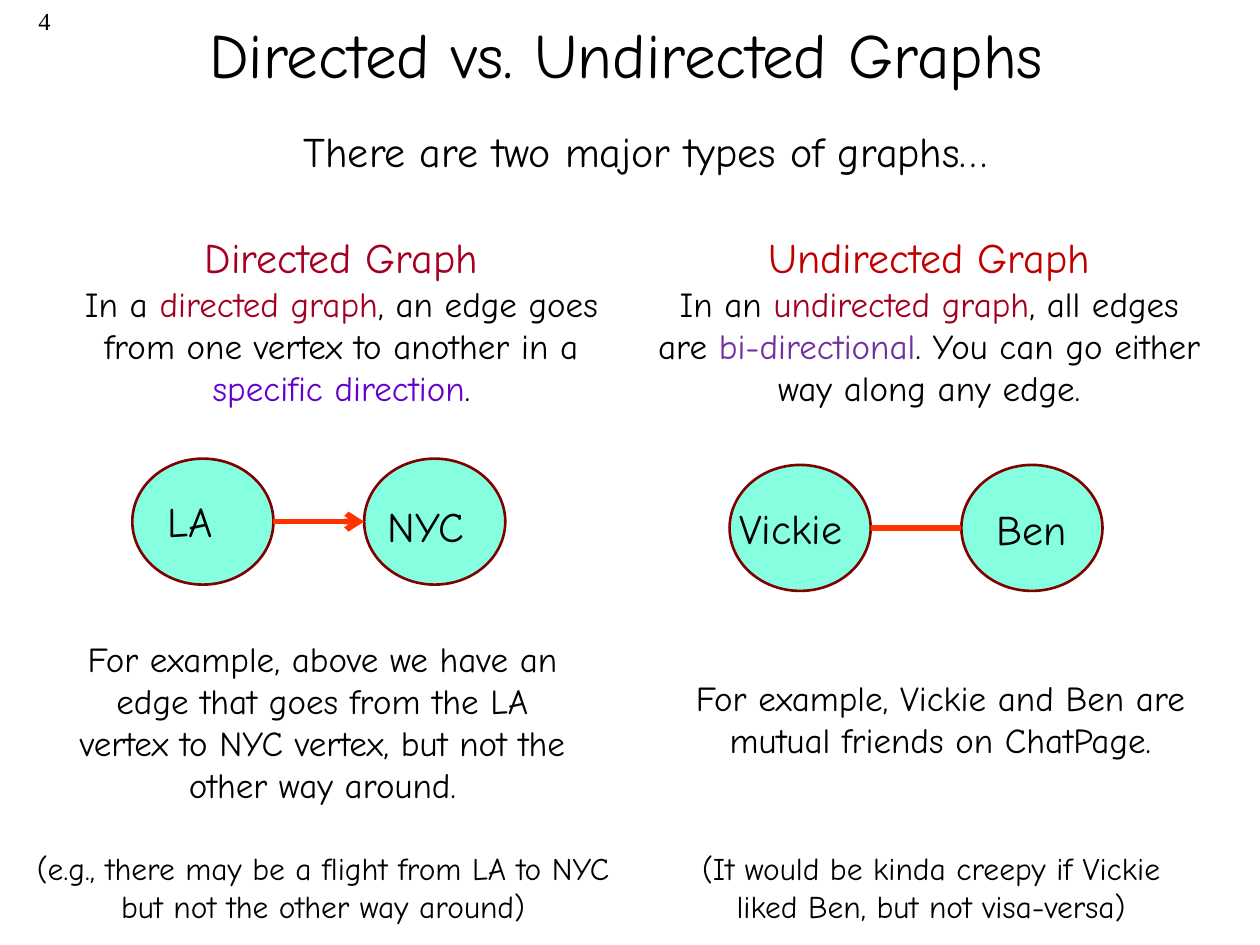
from pptx import Presentation
from pptx.dml.color import RGBColor
from pptx.enum.shapes import MSO_CONNECTOR, MSO_SHAPE
from pptx.enum.text import MSO_ANCHOR, PP_ALIGN
from pptx.oxml.ns import qn
from pptx.util import Inches, Pt
from lxml import etree

LEFT, CENTER, RIGHT = PP_ALIGN.LEFT, PP_ALIGN.CENTER, PP_ALIGN.RIGHT
TOP, MIDDLE = MSO_ANCHOR.TOP, MSO_ANCHOR.MIDDLE
OVAL = MSO_SHAPE.OVAL
STRAIGHT = MSO_CONNECTOR.STRAIGHT

BLACK = RGBColor(0x00, 0x00, 0x00)
CRIMSON = RGBColor(0xA5, 0x00, 0x21)
RED = RGBColor(0xC0, 0x00, 0x00)
VIOLET = RGBColor(0x66, 0x00, 0xCC)
PURPLE = RGBColor(0x70, 0x30, 0xA0)
AQUA = RGBColor(0x85, 0xFF, 0xE0)
MAROON = RGBColor(0x80, 0x00, 0x00)
ORANGE = RGBColor(0xFF, 0x33, 0x00)

VERTEX_W, VERTEX_H, VERTEX_STEP = 1.12, 1, 1.84

DIRECTED = {
    "heading": ("Directed Graph", CRIMSON),
    "intro": [("In a ", BLACK), ("directed graph", CRIMSON),
              (", an edge goes from one vertex to another in a ", BLACK),
              ("specific direction", VIOLET), (".", BLACK)],
    "intro_box": (0.42, 0, 4.28, 1.51),
    "graph_at": (0.9, 1.85),
    "vertices": [("LA", 0.18, 0.24, 0.63), ("NYC", 0.09, 0.28, 0.89)],
    "arrow": True,
    "example": "For example, above we have an edge that goes from the LA vertex "
               "to NYC vertex, but not the other way around.",
    "example_box": (0.31, 3.22, 4.2, 1.45),
    "note": "(e.g., there may be a flight from LA to NYC but not the other way around)",
    "note_box": (0, 4.9, 4.83, 0.71),
}
UNDIRECTED = {
    "heading": ("Undirected Graph", RED),
    "intro": [("In an ", BLACK), ("undirected graph", CRIMSON),
              (", all edges are ", BLACK), ("bi-directional", PURPLE),
              (". You can go either way along any edge.", BLACK)],
    "intro_box": (0, 0, 4.59, 1.51),
    "graph_at": (0.71, 1.9),
    "vertices": [("Vickie", -0.02, 0.25, 1.15), ("Ben", 0.18, 0.26, 0.78)],
    "arrow": False,
    "example": "For example, Vickie and Ben are mutual friends on ChatPage.",
    "example_box": (0.14, 3.53, 4.49, 0.77),
    "note": "(It would be kinda creepy if Vickie liked Ben, but not visa-versa)",
    "note_box": (0.14, 4.9, 4.34, 0.71),
}


def add_run(p, text, size=20, color=BLACK, font="Comic Neue"):
    """Append a formatted run to a paragraph."""
    r = p.add_run()
    r.text = text
    r.font.size = Pt(size)
    r.font.name = font
    r.font.color.rgb = color


def add_text(s, box, text, align=CENTER, anchor=TOP, wrap=True, **fmt):
    """Add a text box and return its text frame."""
    tf = s.shapes.add_textbox(*map(Inches, box)).text_frame
    tf.word_wrap = wrap
    tf.vertical_anchor = anchor
    p = tf.paragraphs[0]
    p.alignment = align
    add_run(p, text, **fmt)
    return tf


def add_vertex(s, x, y):
    """Draw one graph vertex."""
    sp = s.shapes.add_shape(OVAL, *map(Inches, (x, y, VERTEX_W, VERTEX_H)))
    sp.shadow.inherit = False
    sp.fill.solid()
    sp.fill.fore_color.rgb = AQUA
    sp.line.color.rgb = MAROON
    sp.line.width = Pt(1.5)


def add_edge(s, x1, x2, y, arrow):
    """Draw a horizontal edge, with an arrowhead if it is directed."""
    edge = s.shapes.add_connector(STRAIGHT, *map(Inches, (x1, y, x2, y)))
    edge.line.color.rgb = ORANGE
    edge.line.width = Pt(3.25)
    if arrow:
        etree.SubElement(edge.line._get_or_add_ln(), qn("a:tailEnd"), type="arrow")
    etree.SubElement(edge._element.spPr, qn("a:effectLst"))


def add_graph(s, x, y, vertices, arrow):
    """Draw two labelled vertices joined by an edge."""
    for i, (label, dx, dy, w) in enumerate(vertices):
        left = x + i * VERTEX_STEP
        add_vertex(s, left, y)
        add_text(s, (left + dx, y + dy, w, 0.5), label, align=LEFT, wrap=False, size=24)
    add_edge(s, x + VERTEX_W, x + VERTEX_STEP, y + VERTEX_H / 2, arrow)


def add_column(s, x, y, content):
    """Place one graph type's explanation, drawing, example and note."""
    def place(box):
        """Shift a box to the column's corner."""
        return x + box[0], y + box[1], *box[2:]

    heading, color = content["heading"]
    tf = add_text(s, place(content["intro_box"]), heading, size=24, color=color)
    p = tf.add_paragraph()
    p.alignment = CENTER
    for text, run_color in content["intro"]:
        add_run(p, text, color=run_color)
    add_graph(s, *place(content["graph_at"]), content["vertices"], content["arrow"])
    add_text(s, place(content["example_box"]), content["example"])
    add_text(s, place(content["note_box"]), content["note"], size=18)


def add_header(s):
    """Place the slide number, title and lead-in."""
    add_text(s, (0, 0, 0.5, 0.5), "4", align=RIGHT, size=14, font="Times New Roman")
    add_text(s, (0.27, -0.2, 9.4, 1.25), "Directed vs. Undirected Graphs",
             anchor=MIDDLE, size=36)
    add_text(s, (0.61, 0.95, 9.03, 0.5), "There are two major types of graphs…", size=24)


def main():
    """Build and save the slide."""
    prs = Presentation()
    prs.slide_width, prs.slide_height = Inches(10), Inches(7.5)
    s = prs.slides.add_slide(prs.slide_layouts[6])
    add_header(s)
    add_column(s, 0.15, 1.79, DIRECTED)
    add_column(s, 5.08, 1.79, UNDIRECTED)
    prs.save("out.pptx")


if __name__ == "__main__":
    main()
